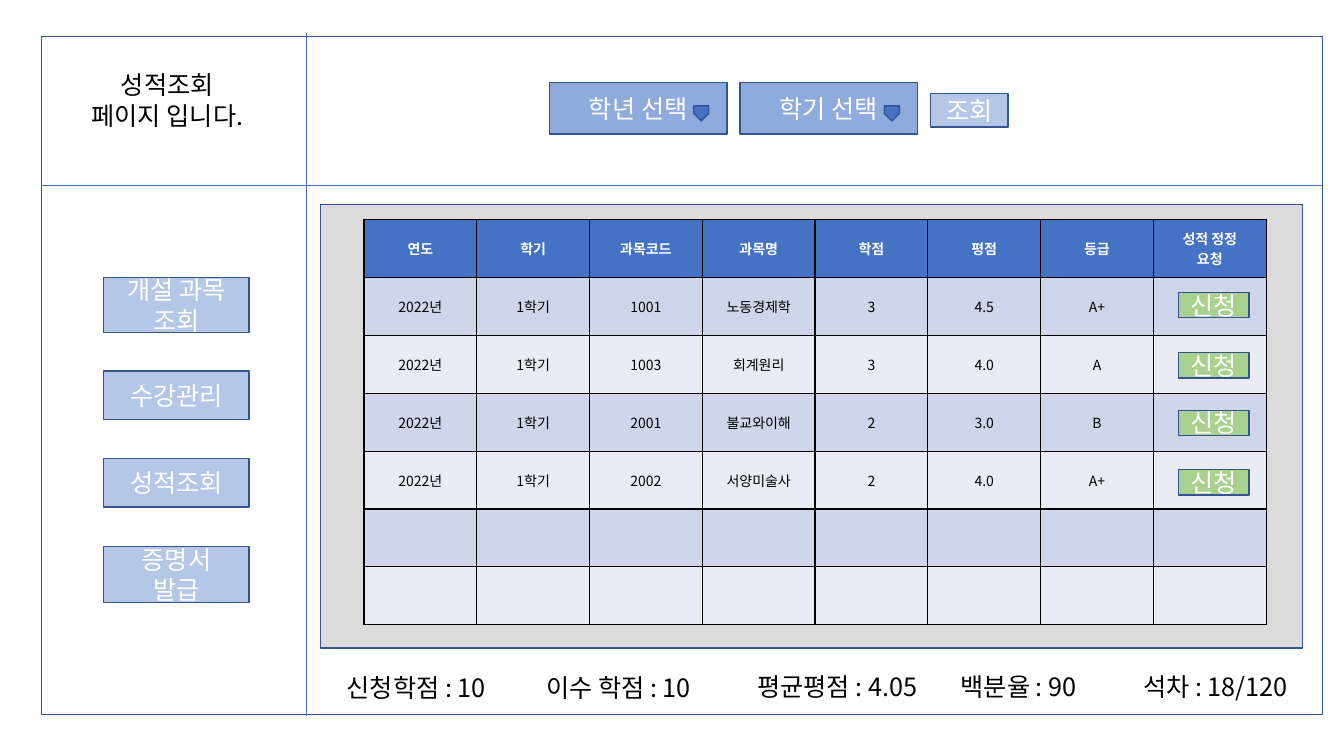
"""Build the grade lookup page of a course registration site."""
from lxml import etree
from pptx import Presentation
from pptx.dml.color import RGBColor
from pptx.enum import shapes, text
from pptx.oxml import ns
from pptx.util import Inches, Pt

FONT = "Noto Sans CJK KR"
WHITE = RGBColor(0xFF, 0xFF, 0xFF)
BLACK = RGBColor(0, 0, 0)
BLUE = RGBColor(0x44, 0x72, 0xC4)
OUTLINE = RGBColor(0x32, 0x54, 0x91)
PALE_BLUE = RGBColor(0xB4, 0xC7, 0xE7)
MID_BLUE = RGBColor(0x8F, 0xAA, 0xDC)
GREEN = RGBColor(0xA9, 0xD1, 0x8E)
GREY = RGBColor(0xDB, 0xDB, 0xDB)
BANDS = (RGBColor(0xE9, 0xEB, 0xF5), RGBColor(0xCF, 0xD5, 0xEA))

MENU = [("개설 과목\n조회", 2.75, 0.55), ("수강관리", 3.68, 0.48),
        ("성적조회", 4.55, 0.48), ("증명서\n발급", 5.42, 0.56)]
SELECTORS = [("학년 선택", 5.45), ("학기 선택", 7.34)]
SUMMARY = [("신청학점 : 10", 3.34, 6.62, 1.81), ("이수 학점 : 10", 5.32, 6.62, 1.81),
           ("평균평점 : 4.05", 7.41, 6.61, 1.92), ("백분율 : 90", 9.43, 6.61, 1.47),
           ("석차 : 18/120", 11.24, 6.61, 1.73)]
REQUEST_TOPS = (2.9, 3.5, 4.07, 4.66)
GRADES = [
    ("연도", "학기", "과목코드", "과목명", "학점", "평점", "등급", "성적 정정\n요청"),
    ("2022년", "1학기", "1001", "노동경제학", "3", "4.5", "A+", ""),
    ("2022년", "1학기", "1003", "회계원리", "3", "4.0", "A", ""),
    ("2022년", "1학기", "2001", "불교와이해", "2", "3.0", "B", ""),
    ("2022년", "1학기", "2002", "서양미술사", "2", "4.0", "A+", ""),
    ("",) * 8,
    ("",) * 8,
]


def write(frame, words, color, size=18, bold=False, align=text.PP_ALIGN.CENTER):
    """Fill a text frame, one paragraph for each line of words."""
    for number, line in enumerate(words.split("\n")):
        para = frame.add_paragraph() if number else frame.paragraphs[0]
        para.alignment = align
        para.line_spacing = 1.0
        span = para.add_run()
        span.text = line
        span.font.size = Pt(size)
        span.font.bold = bold
        span.font.name = FONT
        span.font.color.rgb = color
        east_asian = etree.SubElement(span.font._element, ns.qn("a:ea"))
        east_asian.set("typeface", FONT)


def add_box(page, place, fill, words="", kind=shapes.MSO_SHAPE.RECTANGLE):
    """Add an outlined shape with optional centred white text."""
    box = page.shapes.add_shape(kind, *map(Inches, place))
    box.shadow.inherit = False
    box.fill.solid()
    box.fill.fore_color.rgb = fill
    box.line.color.rgb = OUTLINE
    box.line.width = Pt(1)
    if words:
        box.text_frame.vertical_anchor = text.MSO_ANCHOR.MIDDLE
        write(box.text_frame, words, WHITE)
    return box


def add_rule(page, *ends):
    """Add a thin dividing line between two points."""
    rule = page.shapes.add_connector(shapes.MSO_CONNECTOR.STRAIGHT, *map(Inches, ends))
    rule.line.color.rgb = BLUE
    rule.line.width = Pt(0.5)
    etree.SubElement(rule.element.spPr, ns.qn("a:effectLst"))


def add_heading(page, frame_box):
    """Place the title placeholder in front of the page frame."""
    title = page.shapes.title
    title.left, title.top, title.width, title.height = map(Inches, (0.51, 0.64, 2.3, 0.71))
    title.text_frame.vertical_anchor = text.MSO_ANCHOR.TOP
    title.text_frame.word_wrap = True
    title.text_frame.auto_size = text.MSO_AUTO_SIZE.SHAPE_TO_FIT_TEXT
    write(title.text_frame, "성적조회\n페이지 입니다.", BLACK)
    title.element.addprevious(frame_box.element)


def add_selector(page, words, left):
    """Add a drop-down button with its marker."""
    add_box(page, (left, 0.82, 1.76, 0.51), MID_BLUE, words)
    marker = add_box(page, (left + 1.43, 1.05, 0.15, 0.15), BLUE,
                     kind=shapes.MSO_SHAPE.PENTAGON)
    marker.rotation = 90


def add_summary(page, words, left, top, width):
    """Add one figure of the summary line."""
    box = page.shapes.add_textbox(*map(Inches, (left, top, width, 0.4)))
    box.text_frame.word_wrap = False
    box.text_frame.auto_size = text.MSO_AUTO_SIZE.SHAPE_TO_FIT_TEXT
    write(box.text_frame, words, BLACK, align=text.PP_ALIGN.LEFT)


def style_cell(cell, fill):
    """Give a cell black borders and a solid fill."""
    cell.vertical_anchor = text.MSO_ANCHOR.MIDDLE
    props = cell._tc.get_or_add_tcPr()
    for side in ("a:lnL", "a:lnR", "a:lnT", "a:lnB"):
        border = etree.SubElement(props, ns.qn(side), w=str(Pt(1)))
        solid = etree.SubElement(border, ns.qn("a:solidFill"))
        etree.SubElement(solid, ns.qn("a:srgbClr"), val=str(BLACK))
    cell.fill.solid()
    cell.fill.fore_color.rgb = fill


def add_grades(page):
    """Add the table of courses and grades."""
    place = map(Inches, (3.61, 2.18, 8.95, 4.02))
    table = page.shapes.add_table(len(GRADES), len(GRADES[0]), *place).table
    for row, values in enumerate(GRADES):
        for column, words in enumerate(values):
            cell = table.cell(row, column)
            style_cell(cell, BANDS[row % 2] if row else BLUE)
            if words:
                write(cell.text_frame, words, BLACK if row else WHITE, 10, bold=not row)


def main():
    """Build and save the page."""
    deck = Presentation()
    deck.slide_width, deck.slide_height = Inches(13.33), Inches(7.5)
    page = deck.slides.add_slide(deck.slide_layouts[5])

    add_heading(page, add_box(page, (0.41, 0.36, 12.71, 6.73), WHITE))
    for words, top, height in MENU:
        add_box(page, (1.03, top, 1.44, height), PALE_BLUE, words)
    add_rule(page, 3.04, 0.33, 3.04, 7.1)
    add_box(page, (3.18, 2.03, 9.74, 4.4), GREY)
    add_grades(page)
    add_rule(page, 0.41, 1.84, 13.12, 1.84)
    for words, left in SELECTORS:
        add_selector(page, words, left)
    add_box(page, (9.23, 0.93, 0.77, 0.33), PALE_BLUE, "조회")
    for figure in SUMMARY:
        add_summary(page, *figure)
    for top in REQUEST_TOPS:
        add_box(page, (11.69, top, 0.7, 0.25), GREEN, "신청")
    deck.save("out.pptx")


if __name__ == "__main__":
    main()
